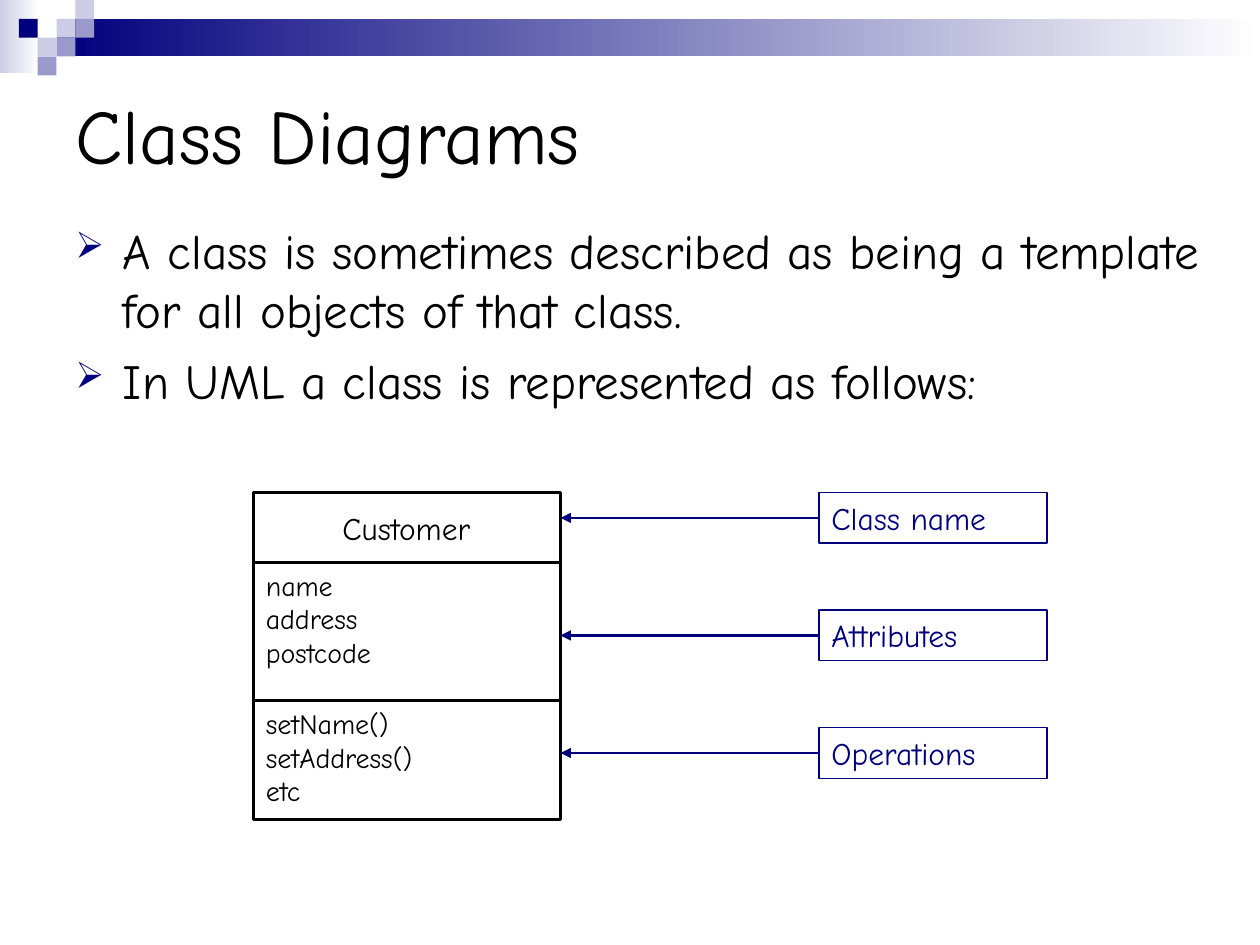
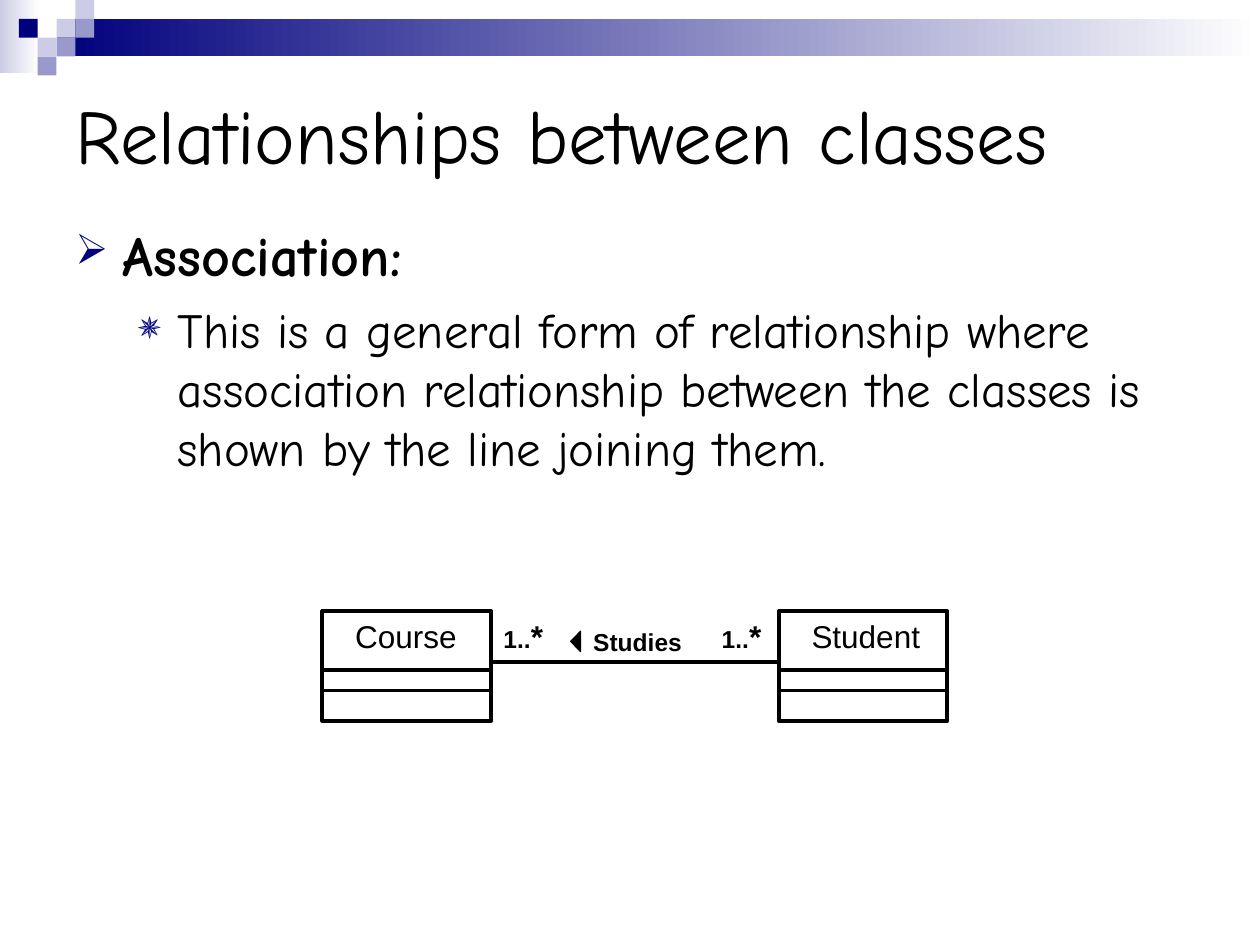
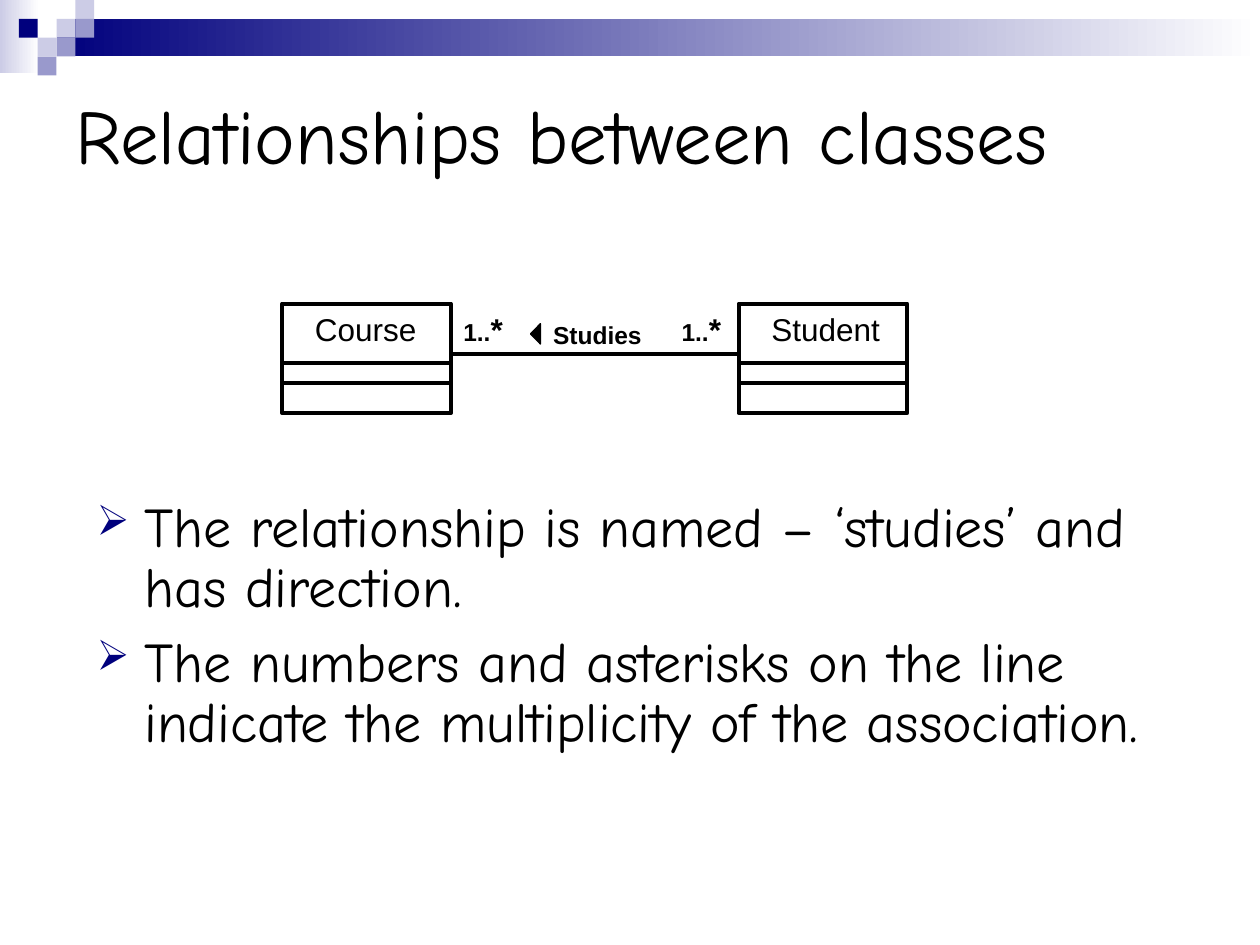
"""Build three slides on UML class diagrams and associations."""
from lxml.etree import SubElement
from pptx import Presentation
from pptx.dml.color import RGBColor
from pptx.enum.shapes import MSO_CONNECTOR, MSO_SHAPE
from pptx.enum.text import MSO_ANCHOR, PP_ALIGN
from pptx.oxml import parse_xml
from pptx.oxml.ns import nsdecls, qn
from pptx.util import Cm, Pt

BLACK, NAVY, LILAC, PALE, WHITE = "000000", "00007D", "9999CC", "CCCCE6", "FFFFFF"
HAND, SANS = "Comic Neue", "Arial"
color = RGBColor.from_string


def box(slide, place, text="", size=18, font=HAND, hue=BLACK, bold=False, space=0,
        fill=None, line=None, weight=0.75, kind=MSO_SHAPE.RECTANGLE):
    place = [Cm(n) for n in place]
    if fill or line:
        shape = slide.shapes.add_shape(kind, *place)
        shape.shadow.inherit = False
    else:
        shape = slide.shapes.add_textbox(*place)
    if isinstance(fill, tuple):
        shape.fill.gradient()
        shape.fill.gradient_angle = 0
        for stop, tint in zip(shape.fill.gradient_stops, fill):
            stop.color.rgb = color(tint)
    elif fill:
        shape.fill.solid()
        shape.fill.fore_color.rgb = color(fill)
    else:
        shape.fill.background()
    if line:
        shape.line.color.rgb = color(line)
        shape.line.width = Pt(weight)
    else:
        shape.line.fill.background()
    if text:
        frame = shape.text_frame
        frame.word_wrap = True
        frame.vertical_anchor = MSO_ANCHOR.TOP
        frame.text = text
        for par in frame.paragraphs:
            par.alignment = PP_ALIGN.LEFT
            par.space_before = Pt(space)
            par.font.size = Pt(size)
            par.font.name = font
            par.font.bold = bold
            par.font.color.rgb = color(hue)
    return shape


def link(slide, start, end, hue=BLACK, weight=2.25):
    wire = slide.shapes.add_connector(
        MSO_CONNECTOR.STRAIGHT, *[Cm(n) for n in (*start, *end)])
    wire.line.color.rgb = color(hue)
    wire.line.width = Pt(weight)
    SubElement(wire.element.spPr, qn("a:effectLst"))
    return wire


deck = Presentation()
deck.slide_width, deck.slide_height = Cm(25.4), Cm(19.05)

CELL = 0.38
TILES = [(3, 1, PALE), (4, 0, PALE), (4, 1, LILAC), (2, 2, PALE),
         (1, 1, NAVY), (3, 2, LILAC), (2, 3, LILAC)]

TOP = ("➢", 75, 0.96, 0.96)
SUB = ("✵", 80, 2.06, 0.79)
PAGES = [
    ("Class Diagrams", (1.27, 4.32, 23.24, 5), 1, [
        ("A class is sometimes described as being a template for all objects of that class.",
         28, 7, False, TOP),
        ("In UML a class is represented as follows:", 28, 7, False, TOP)]),
    ("Relationships between classes", (1.27, 4.32, 22.86, 6), 1, [
        ("Association:", 32, 8, True, TOP),
        ("This is a general form of relationship where association relationship "
         "between the classes is shown by the line joining them.", 28, 7, False, SUB)]),
    ("Relationships between classes", (1.7, 9.93, 22.86, 7.21), 0.9, [
        ("The relationship is named – ‘studies’ and has direction.", 32, 8, False, TOP),
        ("The numbers and asterisks on the line indicate the multiplicity of the association.",
         32, 8, False, TOP)]),
]

for title, place, pitch, points in PAGES:
    slide = deck.slides.add_slide(deck.slide_layouts[6])
    box(slide, (0, 0, 0.79, 1.47), fill=(PALE, WHITE))
    box(slide, (1.14, CELL, 24.26, 2 * CELL), fill=(NAVY, WHITE))
    for col, row, tint in TILES:
        box(slide, (col * CELL, row * CELL, CELL, CELL), fill=tint)
    head = box(slide, (1.27, 1.27, 22.86, 2.84), title, 44)
    head.text_frame.vertical_anchor = MSO_ANCHOR.MIDDLE

    body = box(slide, place, "\n".join(point[0] for point in points))
    for par, (_, size, space, bold, style) in zip(body.text_frame.paragraphs, points):
        mark, scale, left, hang = style
        par.font.size = Pt(size)
        par.font.bold = bold
        par.space_before = Pt(space)
        par.line_spacing = pitch
        props = par._p.get_or_add_pPr()
        props.set("marL", str(Cm(left)))
        props.set("indent", str(-Cm(hang)))
        for tag in (f'<a:buClr {nsdecls("a")}><a:srgbClr val="{NAVY}"/></a:buClr>',
                    f'<a:buSzPct {nsdecls("a")} val="{scale * 1000}"/>',
                    f'<a:buChar {nsdecls("a")} char="{mark}"/>'):
            props.find(qn("a:defRPr")).addprevious(parse_xml(tag))

first, second, third = deck.slides

LEFT, RIGHT = 5.11, 11.3
name = box(first, (5.89, 10.13, 4.6, 1.02), "Customer", space=11.2)
name.text_frame.paragraphs[0].alignment = PP_ALIGN.CENTER
box(first, (LEFT, 9.93, RIGHT - LEFT, 6.6), line=BLACK, weight=1.75)
for top, text in [(11.33, "name\naddress\npostcode"),
                  (14.12, "setName()\nsetAddress()\netc")]:
    link(first, (LEFT, top), (RIGHT, top), weight=1.75)
    box(first, (LEFT, top, 4.6, 2.29), text, 16)

for row, text in enumerate(["Class name", "Attributes", "Operations"]):
    top = 9.93 + row * 2.37
    label = box(first, (16.51, top, 4.6, 1.02), text, hue=NAVY, space=11.2, line=NAVY)
    arrow = link(first, (16.51, top + 0.51), (RIGHT, top + 0.51), NAVY, 1.5)
    arrow.begin_connect(label, 1)
    SubElement(arrow.element.spPr.find(qn("a:ln")), qn("a:tailEnd"), type="triangle")

WIDE, STEP = 3.4, 9.2
for slide, left, top in [(second, 6.5, 12.32), (third, 5.69, 6.12)]:
    for x, text in [(left, "Course"), (left + STEP, "Student")]:
        box(slide, (x + 0.41, top, 3.2, 1.02), text, font=SANS, space=11.2)
        box(slide, (x, top, WIDE, 2.21), line=BLACK, weight=2.25)
        for drop in (1.19, 1.6):
            link(slide, (x, top + drop), (x + WIDE, top + drop))
    link(slide, (left + WIDE, top + 1.02), (left + STEP, top + 1.02))
    for x, width in [(3.4, 1.4), (7.8, 1.6)]:
        count = box(slide, (left + x, top, width, 1.02), "1..", 14, SANS, bold=True, space=11.2)
        star = count.text_frame.paragraphs[0].add_run()
        star.text = "*"
        star.font.size = Pt(18)
    box(slide, (left + 5.21, top + 0.2, 2.59, 0.86), "Studies", 14, SANS, bold=True, space=8.8)
    wedge = box(slide, (left + 4.9, top + 0.51, 0.41, 0.2), fill=BLACK, line=BLACK,
                kind=MSO_SHAPE.ISOSCELES_TRIANGLE)
    wedge.rotation = 270

deck.save("out.pptx")
